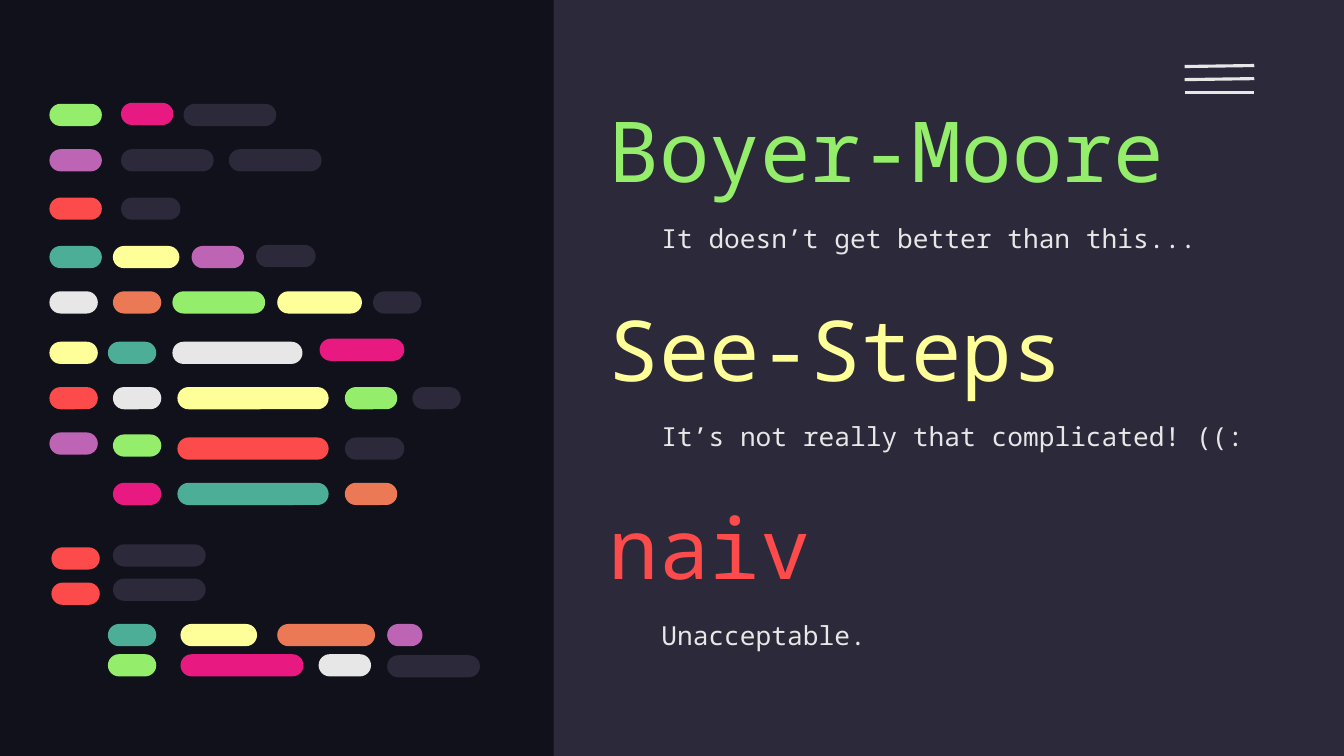
from dataclasses import dataclass

from lxml import etree
from pptx import Presentation
from pptx.dml.color import RGBColor
from pptx.enum.shapes import MSO_CONNECTOR, MSO_SHAPE
from pptx.enum.text import MSO_ANCHOR
from pptx.oxml.ns import qn
from pptx.util import Inches, Pt

RECT = MSO_SHAPE.RECTANGLE
ROUNDED = MSO_SHAPE.ROUNDED_RECTANGLE
STRAIGHT = MSO_CONNECTOR.STRAIGHT
MIDDLE = MSO_ANCHOR.MIDDLE


@dataclass(frozen=True)
class Theme:
    night: str = "10111A"
    panel: str = "2C293A"
    white: str = "E7E7E7"
    green: str = "94EE6B"
    yellow: str = "FFFF99"
    red: str = "FD4A4A"
    pink: str = "E81A81"
    purple: str = "BD64B5"
    teal: str = "4CAE97"
    orange: str = "EC7955"
    font: str = "Noto Sans Mono"
    title_size: float = 60
    caption_size: float = 18.7


T = Theme()
PILL_HEIGHT = 0.22
TOPIC_TOP, TOPIC_STEP = 0.92, 1.97

# Title, title colour, caption, caption width
TOPICS = [
    ("Boyer-Moore", T.green, "It doesn’t get better than this...", 5.86),
    ("See-Steps", T.yellow, "It’s not really that complicated! ((:", 6.15),
    ("naiv", T.red, "Unacceptable.", 5.86),
]

# Top of each code line, then its pills: left, width, colour, optional shift down
CODE_LINES = [
    (1.03, [(0.49, 0.52, T.green), (1.2, 0.52, T.pink, -0.01),
            (1.82, 0.92, T.panel)]),
    (1.48, [(0.49, 0.52, T.purple), (1.2, 0.92, T.panel),
            (2.27, 0.92, T.panel)]),
    (1.96, [(0.49, 0.52, T.red), (1.2, 0.59, T.panel)]),
    (2.44, [(0.49, 0.52, T.teal), (1.12, 0.66, T.yellow),
            (1.9, 0.52, T.purple), (2.54, 0.59, T.panel, -0.01)]),
    (2.89, [(0.49, 0.48, T.white), (1.12, 0.48, T.orange),
            (1.71, 0.92, T.green), (2.75, 0.84, T.yellow),
            (3.7, 0.48, T.panel)]),
    (3.39, [(0.49, 0.48, T.yellow), (1.07, 0.48, T.teal),
            (1.71, 1.29, T.white), (3.17, 0.84, T.pink, -0.03)]),
    (3.84, [(0.49, 0.48, T.red), (1.12, 0.48, T.white),
            (1.76, 1.5, T.yellow), (3.42, 0.52, T.green),
            (4.09, 0.48, T.panel)]),
    (4.34, [(0.49, 0.48, T.purple, -0.05), (1.12, 0.48, T.green, -0.03),
            (1.76, 1.5, T.red), (3.42, 0.59, T.panel)]),
    (4.79, [(1.12, 0.48, T.pink), (1.76, 1.5, T.teal),
            (3.42, 0.52, T.orange)]),
    (5.43, [(0.51, 0.48, T.red), (1.12, 0.92, T.panel, -0.03)]),
    (5.78, [(0.51, 0.48, T.red), (1.12, 0.92, T.panel, -0.04)]),
    (6.19, [(1.07, 0.48, T.teal), (1.79, 0.76, T.yellow),
            (2.75, 0.97, T.orange), (3.84, 0.35, T.purple)]),
    (6.49, [(1.07, 0.48, T.green), (1.79, 1.22, T.pink),
            (3.16, 0.52, T.white), (3.84, 0.92, T.panel, 0.01)]),
]


def rgb(color):
    return RGBColor.from_string(color)


def add_block(shapes, kind, left, top, width, height, color):
    sp = shapes.add_shape(kind, Inches(left), Inches(top),
                          Inches(width), Inches(height))
    sp.shadow.inherit = False
    sp.fill.solid()
    sp.fill.fore_color.rgb = rgb(color)
    sp.line.fill.background()
    return sp


def add_pill(shapes, left, top, width, color):
    sp = add_block(shapes, ROUNDED, left, top, width, PILL_HEIGHT, color)
    sp.adjustments[0] = 0.5


def add_bar(shapes, x1, y1, x2, y2):
    cxn = shapes.add_connector(STRAIGHT, Inches(x1), Inches(y1),
                               Inches(x2), Inches(y2))
    cxn.line.color.rgb = rgb(T.white)
    cxn.line.width = Pt(2.25)
    etree.SubElement(cxn._element.spPr, qn("a:effectLst"))


def add_text(shapes, text, left, top, width, height, *, size, color,
             line_spacing=None):
    tf = shapes.add_textbox(Inches(left), Inches(top),
                            Inches(width), Inches(height)).text_frame
    tf.word_wrap = True
    tf.vertical_anchor = MIDDLE
    tf.margin_left = tf.margin_right = Inches(0.13)
    tf.margin_top = tf.margin_bottom = Inches(0.13)
    p = tf.paragraphs[0]
    p.line_spacing = line_spacing
    r = p.add_run()
    r.text = text
    r.font.name = T.font
    r.font.size = Pt(size)
    r.font.color.rgb = rgb(color)


def main():
    prs = Presentation()
    prs.slide_width, prs.slide_height = Inches(13.33), Inches(7.5)
    slide = prs.slides.add_slide(prs.slide_layouts[6])
    slide.background.fill.solid()
    slide.background.fill.fore_color.rgb = rgb(T.night)
    shapes = slide.shapes

    # Right-hand panel
    add_block(shapes, RECT, 5.49, 0, 7.84, 7.5, T.panel)

    # Menu icon
    menu = shapes.add_group_shape().shapes
    for y1, y2 in [(0.66, 0.65), (0.79, 0.78), (0.92, 0.92)]:
        add_bar(menu, 11.75, y1, 12.44, y2)

    # Topics with captions
    for i, (title, color, caption, width) in enumerate(TOPICS):
        top = TOPIC_TOP + i * TOPIC_STEP
        add_text(shapes, title, 5.91, top, 5.86, 1.12,
                 size=T.title_size, color=color)
        add_text(shapes, caption, 6.43, top + 0.98, width, 0.87,
                 size=T.caption_size, color=T.white, line_spacing=1.15)

    # Stylised code
    code = shapes.add_group_shape().shapes
    for top, pills in CODE_LINES:
        for left, width, color, *shift in pills:
            add_pill(code, left, top + sum(shift), width, color)

    prs.save("out.pptx")


if __name__ == "__main__":
    main()
